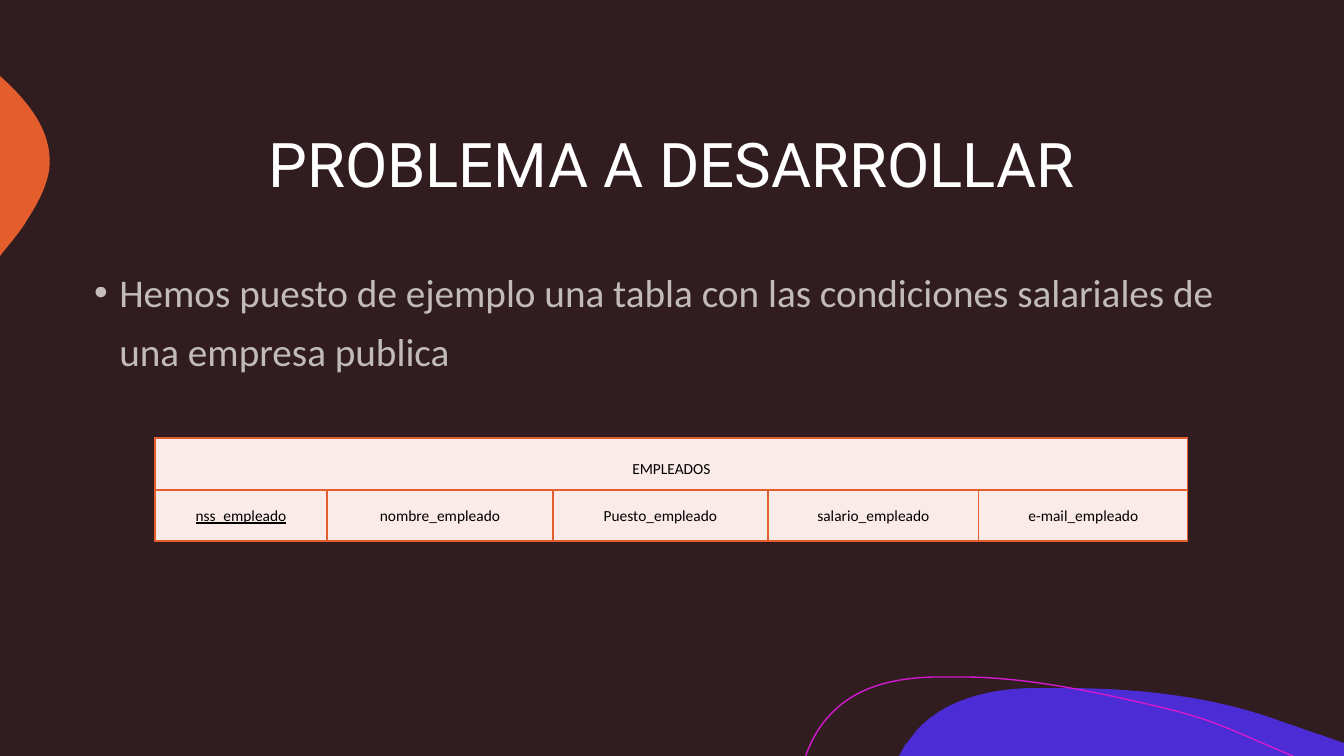
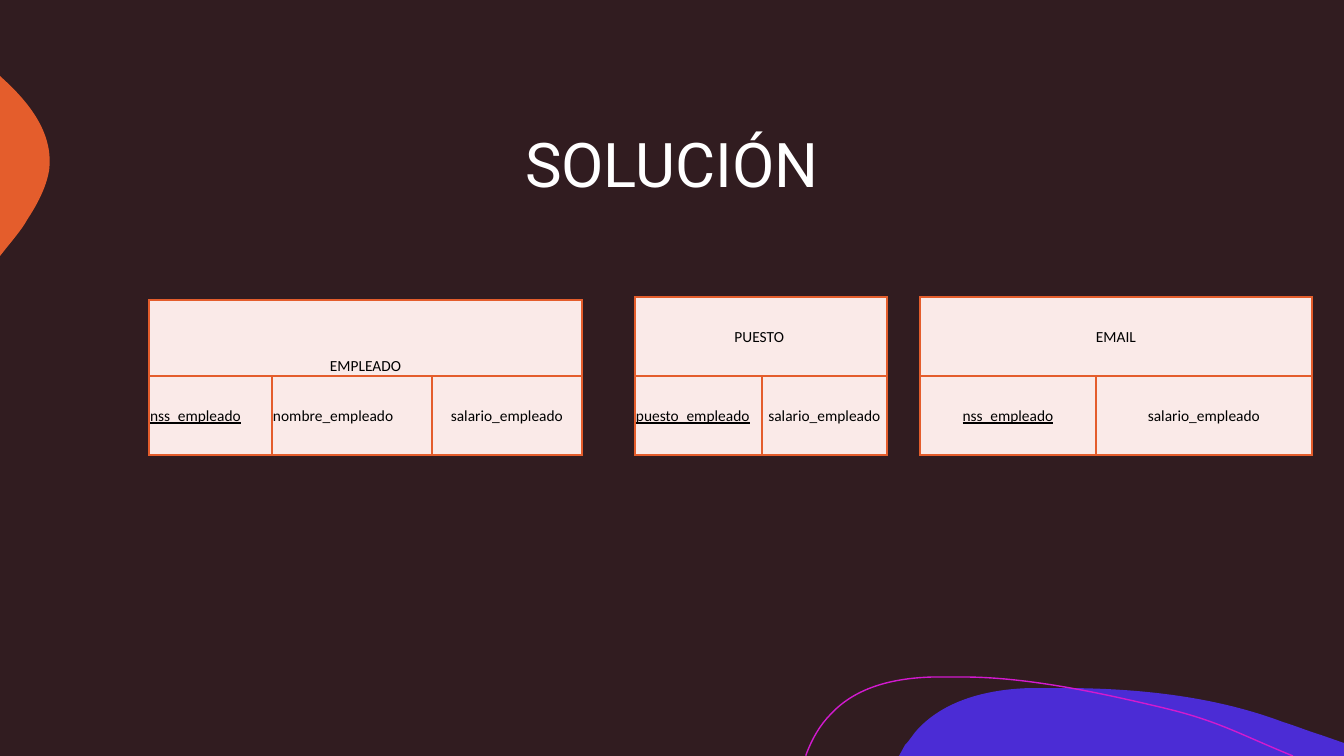
"""Build two slides on normalising an employee table."""
import lxml.etree
import pptx
import pptx.dml.color
import pptx.enum.text
import pptx.oxml.ns
import pptx.util

RGB = pptx.dml.color.RGBColor
Pt = pptx.util.Pt
ALIGN = pptx.enum.text.PP_ALIGN
ANCHOR = pptx.enum.text.MSO_ANCHOR
qn = pptx.oxml.ns.qn

DARK = RGB(0x31, 0x1C, 0x20)
WHITE = RGB(0xFF, 0xFF, 0xFF)
BLACK = RGB(0, 0, 0)
ORANGE = RGB(0xE4, 0x5D, 0x2C)
VIOLET = RGB(0x4B, 0x2C, 0xD5)
MAGENTA = RGB(0xD2, 0x1A, 0xCF)
BLUSH = RGB(0xFA, 0xEA, 0xE8)

TITLE = {"name": "Roboto", "size": Pt(44)}
BODY = {"name": "Calibri", "size": Pt(28)}
CELL = {"name": "Calibri", "size": Pt(11)}

BLOB = [(1062, 688), (1137, 688, 1214, 696, 1283, 722),
        (1296, 726, 1308, 731, 1321, 735), (1344, 743), (1344, 756),
        (899, 756), (905, 745), (911, 739, 913, 734, 918, 729),
        (946, 699, 990, 689, 1031, 688), (1041, 688, 1052, 688, 1062, 688)]
SIDE = [(0, 76), (1, 77), (30, 103, 54, 134, 49, 171),
        (46, 188, 37, 205, 27, 220), (24, 226, 17, 235, 8, 246), (0, 256)]
SWOOSH = [(806, 756), (806, 755), (812, 739, 820, 725, 831, 714),
          (857, 686, 896, 678, 933, 677), (963, 677),
          (1031, 677, 1109, 695, 1164, 708),
          (1218, 721, 1237, 733, 1293, 756)]


def px(n):
    """Turn pixels into EMU."""
    return pptx.util.Emu(round(n * 914400 / 100.8))


class Deck:
    """Holds the presentation, its style and the current slide."""

    def __init__(self):
        """Set the slide size, background and shared decoration."""
        self.prs = pptx.Presentation()
        self.prs.slide_width, self.prs.slide_height = px(1344), px(756)
        fill = self.prs.slide_master.background.fill
        fill.solid()
        fill.fore_color.rgb = DARK
        self.decorated = False

    def slide(self, title, layout):
        """Start a slide with its title."""
        self.s = self.prs.slides.add_slide(self.prs.slide_layouts[layout])
        if not self.decorated:
            self.decorate()
        p = self.place(self.s.shapes.title, (84, 84, 1176, 168))
        self.text(p, title, TITLE, WHITE, alignment=ALIGN.CENTER, line_spacing=0.9)

    def decorate(self):
        """Put the outlines on the master."""
        tree = self.prs.slide_master.shapes.element
        sps = (self.outline(BLOB, fill=VIOLET), self.outline(SIDE, fill=ORANGE),
               self.outline(SWOOSH, line=MAGENTA))
        for i, sp in enumerate(sps):
            sp.element.xpath(".//p:cNvPr")[0].set("id", str(20 + i))
            tree.insert(2 + i, sp.element)
        self.decorated = True

    def place(self, sp, box):
        """Move a placeholder and return its first paragraph."""
        for name, n in zip(("left", "top", "width", "height"), box):
            setattr(sp, name, px(n))
        sp.text_frame.auto_size = pptx.enum.text.MSO_AUTO_SIZE.NONE
        return sp.text_frame.paragraphs[0]

    def text(self, p, text, font, color, **para):
        """Write one formatted run into a paragraph."""
        r = p.add_run()
        r.text = text
        for name, value in font.items():
            setattr(r.font, name, value)
        r.font.color.rgb = color
        for name, value in para.items():
            setattr(p, name, value)

    def outline(self, path, fill=None, line=None):
        """Draw a filled shape or an open line from straight and cubic parts."""
        pts = [(px(seg[-2]), px(seg[-1])) for seg in path]
        fb = self.s.shapes.build_freeform(*pts[0])
        fb.add_line_segments(pts[1:], close=fill is not None)
        sp = fb.convert_to_shape()
        for seg, el in zip(path[1:], sp.element.xpath(".//a:lnTo")):
            if len(seg) == 6:
                el.tag = qn("a:cubicBezTo")
                for i in (0, 2):
                    pt = lxml.etree.Element(qn("a:pt"), x=str(px(seg[i]) - sp.left),
                                            y=str(px(seg[i + 1]) - sp.top))
                    el.insert(i // 2, pt)
        sp.shadow.inherit = False
        if fill is not None:
            sp.fill.solid()
            sp.fill.fore_color.rgb = fill
            sp.line.fill.background()
        else:
            sp.fill.background()
            sp.line.color.rgb = line
            sp.line.width = Pt(1)
        return sp

    def bullet(self, text, box):
        """Fill the body with one translucent bullet."""
        sp = self.s.placeholders[1]
        p = self.place(sp, box)
        self.text(p, text, BODY, WHITE, line_spacing=1.25, space_before=Pt(10))
        pPr = p._p.get_or_add_pPr()
        pPr.set("marL", str(px(25.2)))
        pPr.set("indent", str(px(-25.2)))
        clr = sp.element.xpath(".//a:srgbClr")[0]
        lxml.etree.SubElement(clr, qn("a:alpha"), val="70000")

    def cell(self, c, text, anchor=ANCHOR.MIDDLE, underline=False, **para):
        """Style and fill one table cell."""
        tcPr = c._tc.get_or_add_tcPr()
        for side in ("lnL", "lnR", "lnT", "lnB"):
            ln = lxml.etree.SubElement(tcPr, qn("a:" + side), w=str(Pt(1)))
            solid = lxml.etree.SubElement(ln, qn("a:solidFill"))
            lxml.etree.SubElement(solid, qn("a:srgbClr"), val=str(ORANGE))
        c.fill.solid()
        c.fill.fore_color.rgb = BLUSH
        c.vertical_anchor = anchor
        c.margin_left = c.margin_right = c.margin_top = px(1)
        c.margin_bottom = 0
        if text:
            font = {**CELL, "underline": underline}
            self.text(c.text_frame.paragraphs[0], text, font, BLACK, **para)

    def table(self, at, cols, rows, name, fields, left=0, **head):
        """Add a relation: its name over its fields, the first one the key."""
        box = (*at, sum(cols), sum(rows))
        tbl = self.s.shapes.add_table(2, len(cols), *map(px, box)).table
        tbl.first_row = tbl.horz_banding = False
        for row, h in zip(tbl.rows, rows):
            row.height = px(h)
        for i, (w, field) in enumerate(zip(cols, fields)):
            tbl.columns[i].width = px(w)
            self.cell(tbl.cell(0, i), "" if i else name, alignment=ALIGN.CENTER, **head)
            self.cell(tbl.cell(1, i), field, underline=i == 0,
                      alignment=ALIGN.LEFT if i < left else ALIGN.CENTER)
        tbl.cell(0, 0).merge(tbl.cell(0, len(cols) - 1))


d = Deck()

d.slide("PROBLEMA A DESARROLLAR", 1)
d.bullet("Hemos puesto de ejemplo una tabla con las condiciones salariales de "
         "una empresa publica", (84, 252, 1176, 152))
d.table((155, 438), (172, 226, 215, 211, 209), (52, 51), "EMPLEADOS",
        ("nss_empleado", "nombre_empleado", "Puesto_empleado",
         "salario_empleado", "e-mail_empleado"), line_spacing=1.5)

d.slide("SOLUCIÓN", 5)
d.table((149, 300), (123, 160, 150), (76, 79), "EMPLEADO",
        ("nss_empleado", "nombre_empleado", "salario_empleado"),
        left=2, anchor=ANCHOR.BOTTOM)
d.table((635, 297), (127, 125), (79, 79), "PUESTO ",
        ("puesto_empleado", "salario_empleado"), left=1)
d.table((920, 297), (176, 216), (79, 79), "EMAIL",
        ("nss_empleado", "salario_empleado"))

d.prs.save("out.pptx")
